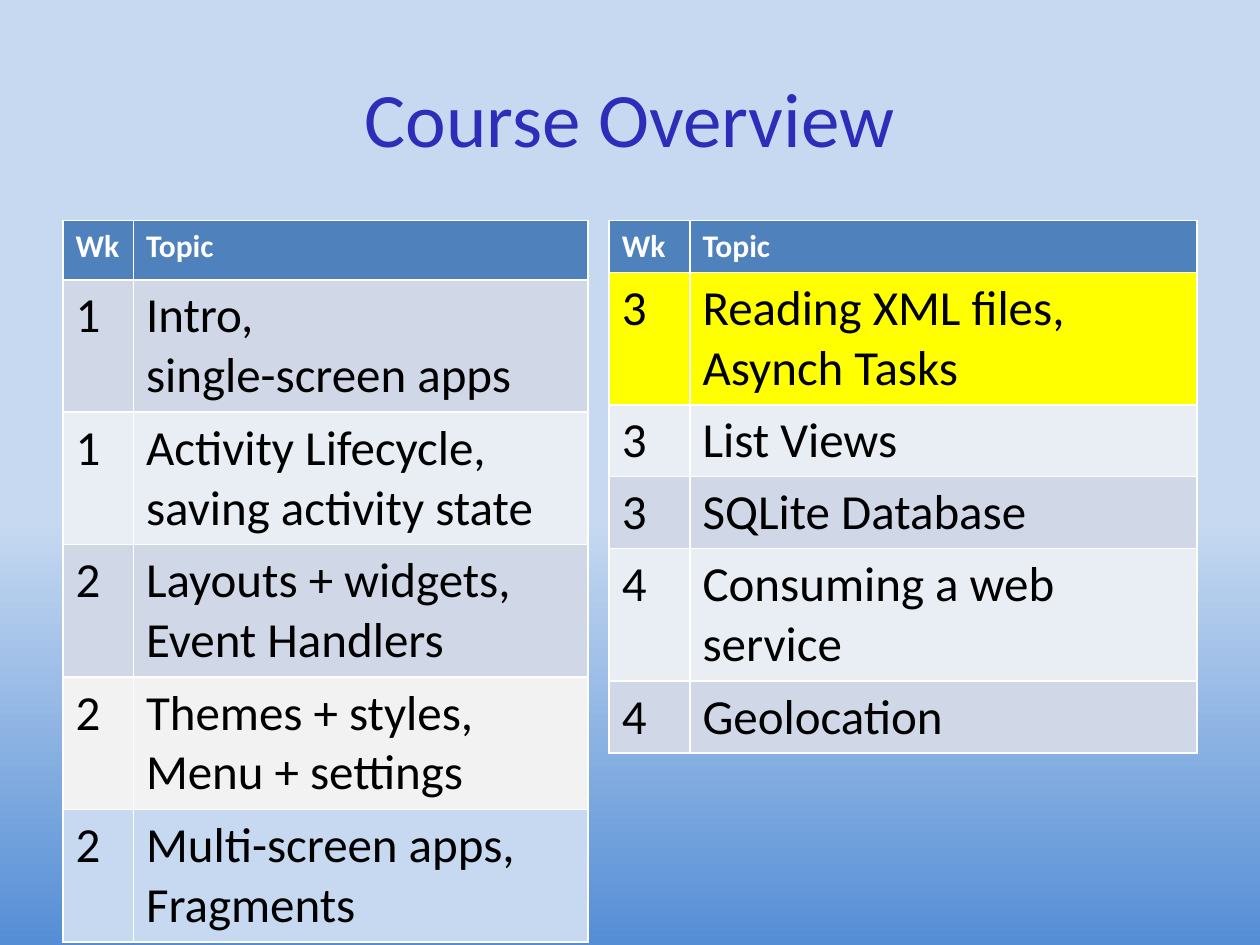
from pptx import Presentation
from pptx.dml.color import RGBColor
from pptx.enum.text import MSO_ANCHOR, PP_ALIGN
from pptx.util import Cm, Pt

MIDDLE = MSO_ANCHOR.MIDDLE
CENTER = PP_ALIGN.CENTER

COLORS = {
    "sky": "C6D9F1", "deep": "558ED5", "title": "2D2DB9", "header": "4F81BD",
    "dark_band": "D0D8E8", "light_band": "E9EDF4", "gray": "F2F2F2",
    "current": "FFFF00", "white": "FFFFFF", "black": "000000",
}
TITLE_FORMAT = {"name": "Calibri", "size": Pt(44), "bold": False}
HEADER_FORMAT = {"name": "Calibri", "size": Pt(18), "bold": True}
TOPIC_FORMAT = {"name": "Calibri", "size": Pt(28), "bold": False}

# Row heights in cm, by number of text lines
ONE_LINE, TWO_LINES = 1.45, 2.67

# Each row: week, topic, fill, height
FIRST_WEEKS = [
    ("1", "Intro, \vsingle-screen apps", "dark_band", TWO_LINES),
    ("1", "Activity Lifecycle, saving activity state", "light_band", TWO_LINES),
    ("2", "Layouts + widgets,\nEvent Handlers", "dark_band", TWO_LINES),
    ("2", "Themes + styles,\nMenu + settings", "gray", TWO_LINES),
    ("2", "Multi-screen apps, Fragments", "sky", TWO_LINES),
]
LAST_WEEKS = [
    ("3", "Reading XML files,\nAsynch Tasks", "current", TWO_LINES),
    ("3", "List Views", "light_band", ONE_LINE),
    ("3", "SQLite Database", "dark_band", ONE_LINE),
    ("4", "Consuming a web service", "light_band", TWO_LINES),
    ("4", "Geolocation", "dark_band", ONE_LINE),
]


def color(name):
    return RGBColor.from_string(COLORS[name])


def format_text(text_frame, font_format, color_name):
    for paragraph in text_frame.paragraphs:
        for run in paragraph.runs:
            for attribute, value in font_format.items():
                setattr(run.font, attribute, value)
            run.font.color.rgb = color(color_name)


def paint_background(slide):
    fill = slide.background.fill
    fill.gradient()
    fill.gradient_angle = 270
    for stop, (position, name) in zip(fill.gradient_stops, [(0.55, "sky"), (1, "deep")]):
        stop.position = position
        stop.color.rgb = color(name)


def add_title(slide, left, top, width, height, text):
    shape = slide.shapes.add_textbox(Cm(left), Cm(top), Cm(width), Cm(height))
    text_frame = shape.text_frame
    text_frame.word_wrap = True
    text_frame.vertical_anchor = MIDDLE
    text_frame.text = text
    text_frame.paragraphs[0].alignment = CENTER
    format_text(text_frame, TITLE_FORMAT, "title")


def add_schedule(slide, left, top, width, week_width, header_height, topics):
    rows = [("Wk", "Topic", "header", header_height)] + topics
    height = sum(row[-1] for row in rows)
    # The default table style supplies the white borders
    table = slide.shapes.add_table(
        len(rows), 2, Cm(left), Cm(top), Cm(width), Cm(height)).table
    table.columns[0].width = Cm(week_width)
    table.columns[1].width = Cm(width - week_width)

    for index, (week, topic, fill_name, row_height) in enumerate(rows):
        table.rows[index].height = Cm(row_height)
        is_header = index == 0
        for cell, text in zip(table.rows[index].cells, (week, topic)):
            cell.text = text
            cell.fill.solid()
            cell.fill.fore_color.rgb = color(fill_name)
            format_text(cell.text_frame,
                        HEADER_FORMAT if is_header else TOPIC_FORMAT,
                        "white" if is_header else "black")


def build_overview(presentation):
    slide = presentation.slides.add_slide(presentation.slide_layouts[6])
    paint_background(slide)
    add_title(slide, 1.27, 0.76, 22.86, 3.18, "Course Overview")
    add_schedule(slide, 1.27, 4.45, 10.58, 1.42, 1.19, FIRST_WEEKS)
    add_schedule(slide, 12.28, 4.45, 11.85, 1.63, 1.04, LAST_WEEKS)


def main():
    presentation = Presentation()
    presentation.slide_width = Cm(25.4)
    presentation.slide_height = Cm(19.05)
    build_overview(presentation)
    presentation.save("out.pptx")


if __name__ == "__main__":
    main()
